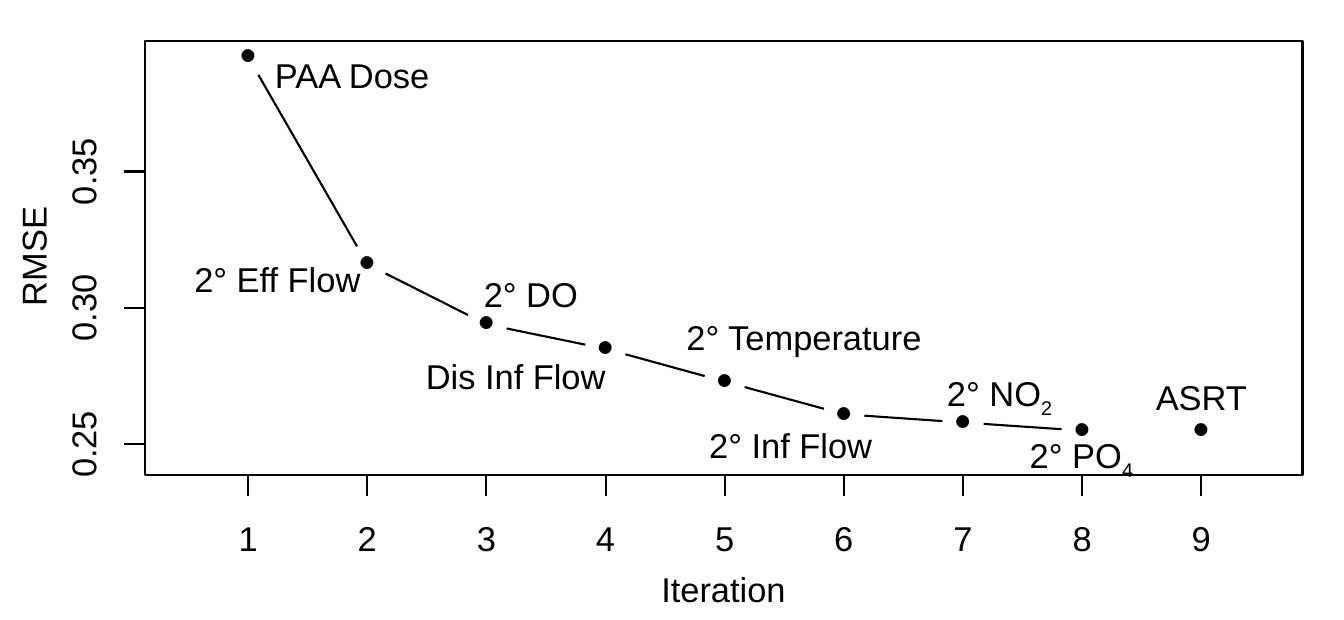
import math

import pptx
import pptx.dml.color
import pptx.enum.shapes
import pptx.enum.text
import pptx.oxml
import pptx.oxml.ns
import pptx.util

PX = 9144  # EMU per px, 100 px to the inch
COLORS = {"ink": "000000", "paper": "FFFFFF"}
FONT, DOT_FONT = "Arial", "Noto Sans CJK JP"
ALIGN = pptx.enum.text.PP_ALIGN
ANCHOR = pptx.enum.text.MSO_ANCHOR

PLOT = (70, 20, 560, 210)  # left, top, width, height
FIRST_X, SPAN_X, ITERATIONS = 50, 461, 9
TICK = 10
TOP_RMSE, TOP_Y, PX_PER_UNIT = 350, 63, 1.32  # RMSE in thousandths
RMSE_TICKS = (250, 300, 350)
GAP = 10  # clear space between a dot and its line

# RMSE in thousandths, label, subscript, label offset from the plot's corner
POINTS = [
    (392, "PAA Dose", "", (62, 4)),
    (316, "2° Eff Flow", "", (23, 103)),
    (294, "2° DO", "", (163, 110)),
    (285, "Dis Inf Flow", "", (135, 150)),
    (273, "2° Temperature", "", (261, 131)),
    (261, "2° Inf Flow", "", (272, 183)),
    (258, "2° NO", "2", (387, 158)),
    (255, "2° PO", "4", (427, 188)),
    (255, "ASRT", "", (488, 160)),
]


def emu(px):
    return pptx.util.Emu(round(px * PX))


def rgb(name):
    return pptx.dml.color.RGBColor.from_string(COLORS[name])


def add_text(s, text, box, size=12, font=FONT, align=ALIGN.CENTER,
             anchor=ANCHOR.MIDDLE, inset=(0, 0), sub="", vertical=False):
    sp = s.shapes.add_textbox(*map(emu, box))
    tf = sp.text_frame
    tf.word_wrap = True
    tf.vertical_anchor = anchor
    tf.margin_left, tf.margin_top = map(emu, inset)
    tf.margin_right = tf.margin_bottom = 0
    if vertical:
        tf._txBody.bodyPr.set("vert", "vert270")
    p = tf.paragraphs[0]
    p.alignment = align
    for part, baseline in ((text, None), (sub, "-25000")):
        if not part:
            continue
        r = p.add_run()
        r.text = part
        r.font.size = pptx.util.Pt(size)
        r.font.name = font
        r.font.color.rgb = rgb("ink")
        rPr = r._r.get_or_add_rPr()
        if baseline:
            rPr.set("baseline", baseline)
        ea = pptx.oxml.parse_xml(
            f'<a:ea {pptx.oxml.ns.nsdecls("a")} typeface="{font}"/>')
        rPr.find(pptx.oxml.ns.qn("a:latin")).addnext(ea)


def add_line(s, x1, y1, x2, y2):
    line = s.shapes.add_connector(
        pptx.enum.shapes.MSO_CONNECTOR.STRAIGHT, *map(emu, (x1, y1, x2, y2)))
    line.line.color.rgb = rgb("ink")
    line.line.width = pptx.util.Pt(0.75)
    line._element.spPr.append(pptx.oxml.parse_xml(
        f'<a:effectLst {pptx.oxml.ns.nsdecls("a")}/>'))


def iteration_x(box, n):
    return box[0] + FIRST_X + SPAN_X * (n - 1) / (ITERATIONS - 1)


def rmse_y(box, value):
    return box[1] + TOP_Y + (TOP_RMSE - value) * PX_PER_UNIT


def draw_frame(s, box):
    sp = s.shapes.add_shape(
        pptx.enum.shapes.MSO_SHAPE.RECTANGLE, *map(emu, box))
    sp.shadow.inherit = False
    sp.fill.background()
    sp.line.color.rgb = rgb("ink")
    sp.line.width = pptx.util.Pt(0.75)


def draw_rmse_axis(s, box):
    left = box[0]
    ys = [rmse_y(box, value) for value in RMSE_TICKS]
    add_line(s, left, ys[0], left, ys[-1])
    for value, y in zip(RMSE_TICKS, ys):
        add_line(s, left, y, left - TICK, y)
        add_text(s, f"{value / 1000:.2f}", (left - 40, y - 20, 20, 40),
                 vertical=True)
    add_text(s, "RMSE", (left - 64, box[1] + 69, 20, 70), vertical=True)


def draw_iteration_axis(s, box):
    bottom = box[1] + box[3]
    add_line(s, iteration_x(box, 1), bottom,
             iteration_x(box, ITERATIONS), bottom)
    for n in range(1, ITERATIONS + 1):
        x = iteration_x(box, n)
        add_line(s, x, bottom, x, bottom + TICK)
        add_text(s, str(n), (x - 10, bottom + 20, 20, 20))
    add_text(s, "Iteration", (box[0] + box[2] / 2 - 40, bottom + 45, 80, 20))


def draw_series(s, box):
    dots = [(iteration_x(box, n), rmse_y(box, point[0]))
            for n, point in enumerate(POINTS, 1)]

    # Lines stop short of the dots; the last dot stands alone
    for (x1, y1), (x2, y2) in zip(dots[:-2], dots[1:-1]):
        length = math.hypot(x2 - x1, y2 - y1)
        dx, dy = GAP * (x2 - x1) / length, GAP * (y2 - y1) / length
        add_line(s, x1 + dx, y1 + dy, x2 - dx, y2 - dy)

    # Dots and their labels
    for (x, y), (_, label, sub, (left, top)) in zip(dots, POINTS):
        add_text(s, "●", (x - 5, y - 6, 10, 11), size=5, font=DOT_FONT)
        add_text(s, label, (box[0] + left, box[1] + top, 128, 22), sub=sub,
                 align=ALIGN.LEFT, anchor=ANCHOR.TOP, inset=(1, 2))


def main():
    prs = pptx.Presentation()
    prs.slide_width, prs.slide_height = emu(650), emu(300)
    s = prs.slides.add_slide(prs.slide_layouts[6])
    s.background.fill.solid()
    s.background.fill.fore_color.rgb = rgb("paper")
    for draw in (draw_frame, draw_rmse_axis, draw_iteration_axis, draw_series):
        draw(s, PLOT)
    prs.save("out.pptx")


if __name__ == "__main__":
    main()
